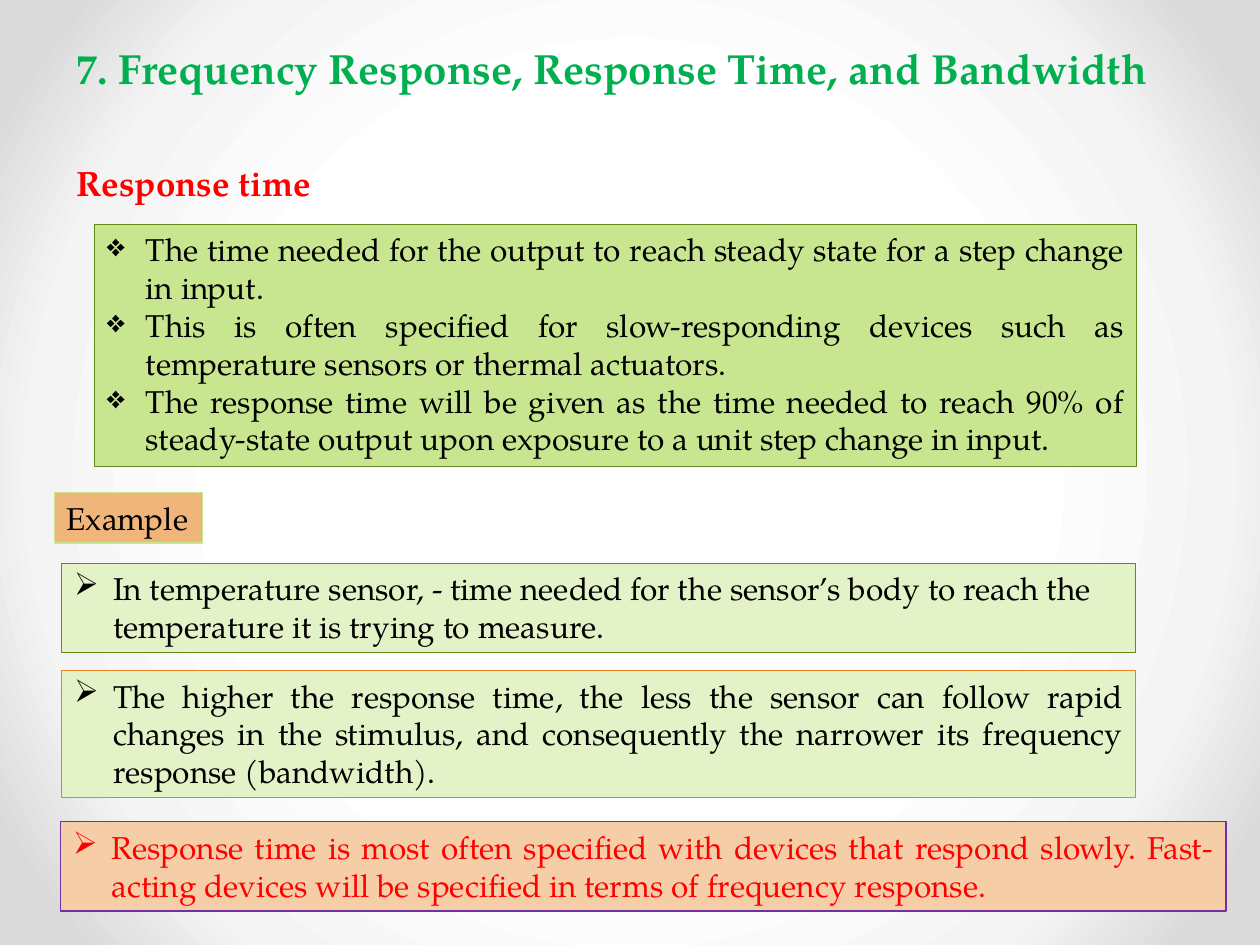
"""Build the slide on response time, with its definition and example boxes."""
from lxml import etree
from pptx import Presentation
from pptx.dml.color import RGBColor
from pptx.enum.shapes import MSO_SHAPE as SHAPE
from pptx.enum.text import MSO_ANCHOR as ANCHOR, MSO_AUTO_SIZE as AUTO, PP_ALIGN as ALIGN
from pptx.oxml.ns import qn
from pptx.util import Inches, Pt


def rgb(value):
    return RGBColor.from_string(value)


def write(sp, lines, size, color, bold=False, wrap=True, bullet=None, align=ALIGN.LEFT):
    tf = sp.text_frame
    tf.text = "\n".join(lines)
    tf.word_wrap = wrap
    tf.auto_size = AUTO.SHAPE_TO_FIT_TEXT
    tf.vertical_anchor = ANCHOR.TOP
    for p in tf.paragraphs:
        p.alignment = align
        font = p.runs[0].font
        font.name, font.size, font.bold = "TeX Gyre Pagella", Pt(size), bold
        font.color.rgb = rgb(color)
        if bullet:
            pPr = p._p.get_or_add_pPr()
            pPr.set("marL", str(Inches(0.31)))
            pPr.set("indent", str(-Inches(0.31)))
            etree.SubElement(pPr, qn("a:buChar"), char=bullet)


prs = Presentation()
prs.slide_width, prs.slide_height = Inches(10), Inches(7.5)
s = prs.slides.add_slide(prs.slide_layouts[6])

s.background.fill.gradient()
grad = s._element.find(".//" + qn("a:gradFill"))
for child in list(grad):
    grad.remove(child)
stops = etree.SubElement(grad, qn("a:gsLst"))
for pos, color in [(50, "FFFFFF"), (76, "F4F4F4"), (92, "DADADA")]:
    gs = etree.SubElement(stops, qn("a:gs"), pos=str(pos * 1000))
    etree.SubElement(gs, qn("a:srgbClr"), val=color)
path = etree.SubElement(grad, qn("a:path"), path="circle")
etree.SubElement(path, qn("a:fillToRect"), l="50000", t="50000", r="50000", b="50000")

headings = [
    ("7. Frequency Response, Response Time, and Bandwidth", 0.29, 9.49, 0.5, 24, "00B050", True),
    ("Response time", 1.23, 2.08, 0.44, 20, "FF0000", False),
]
for text, top, width, height, size, color, wrap in headings:
    sp = s.shapes.add_textbox(Inches(0.51), Inches(top), Inches(width), Inches(height))
    write(sp, [text], size, color, bold=True, wrap=wrap)

boxes = [
    ((0.75, 1.78, 8.27, 1.92), "C7E68F", "63891F", "000000", "❖", ALIGN.JUSTIFY, [
        "The time needed for the output to reach steady state for a step change in input.",
        "This is often specified for slow-responding devices such as temperature sensors "
        "or thermal actuators.",
        "The response time will be given as the time needed to reach 90% of steady-state "
        "output upon exposure to a unit step change in input."]),
    ((0.43, 3.91, 1.18, 0.4), "F0B57A", "C7E68F", "000000", None, ALIGN.LEFT, ["Example"]),
    ((0.49, 4.47, 8.52, 0.71), "E3F2C7", "63891F", "000000", "➢", ALIGN.LEFT, [
        "In temperature sensor, - time needed for the sensor’s body to reach the "
        "temperature it is trying to measure."]),
    ((0.49, 5.32, 8.52, 1.01), "E3F2C7", "E68422", "000000", "➢", ALIGN.JUSTIFY, [
        "The higher the response time, the less the sensor can follow rapid changes in the "
        "stimulus, and consequently the narrower its frequency response (bandwidth)."]),
    ((0.48, 6.52, 9.25, 0.71), "F5CEA7", "7030A0", "FF0000", "➢", ALIGN.JUSTIFY, [
        "Response time is most often specified with devices that respond slowly. "
        "Fast-acting devices will be specified in terms of frequency response."]),
]
for place, fill, line, color, bullet, align, lines in boxes:
    sp = s.shapes.add_shape(SHAPE.RECTANGLE, *[Inches(v) for v in place])
    sp.shadow.inherit = False
    sp.fill.solid()
    sp.fill.fore_color.rgb = rgb(fill)
    sp.line.color.rgb = rgb(line)
    sp.line.width = Pt(0.75)
    write(sp, lines, 18, color, wrap=bullet is not None, bullet=bullet, align=align)

prs.save("out.pptx")
